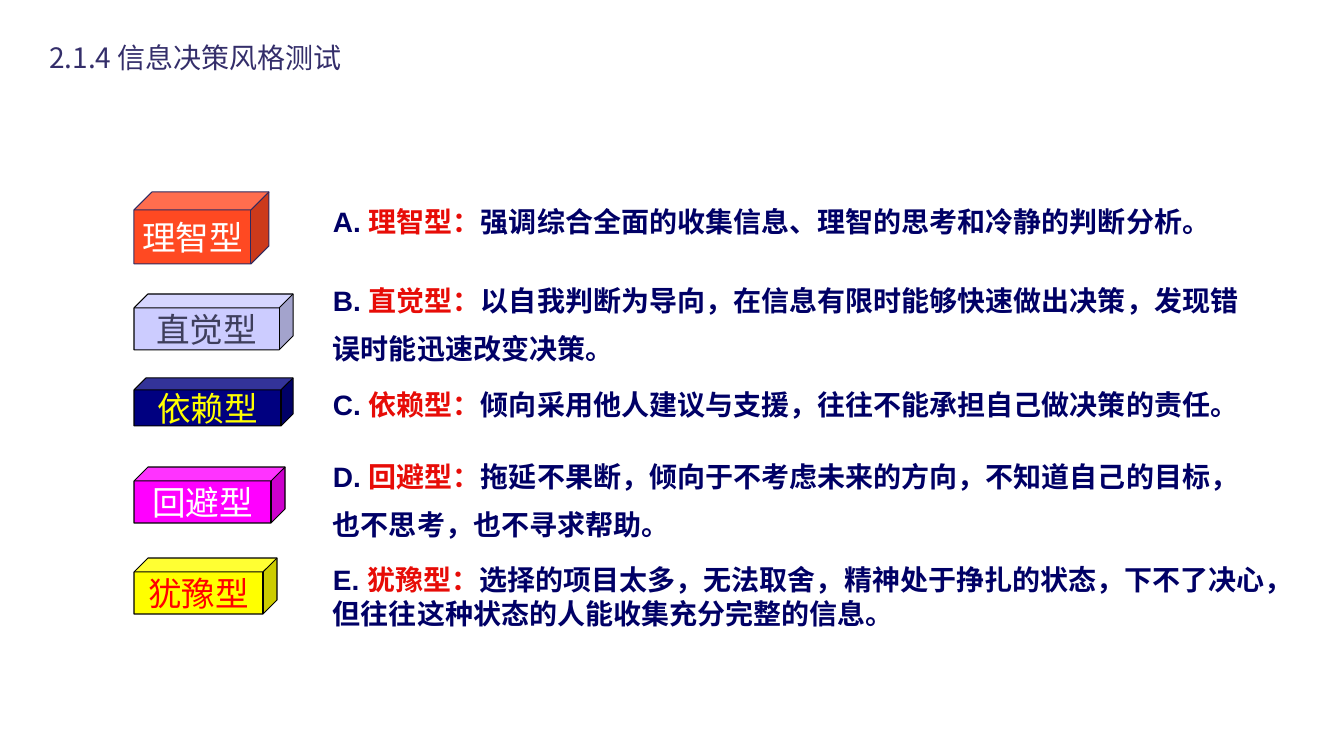
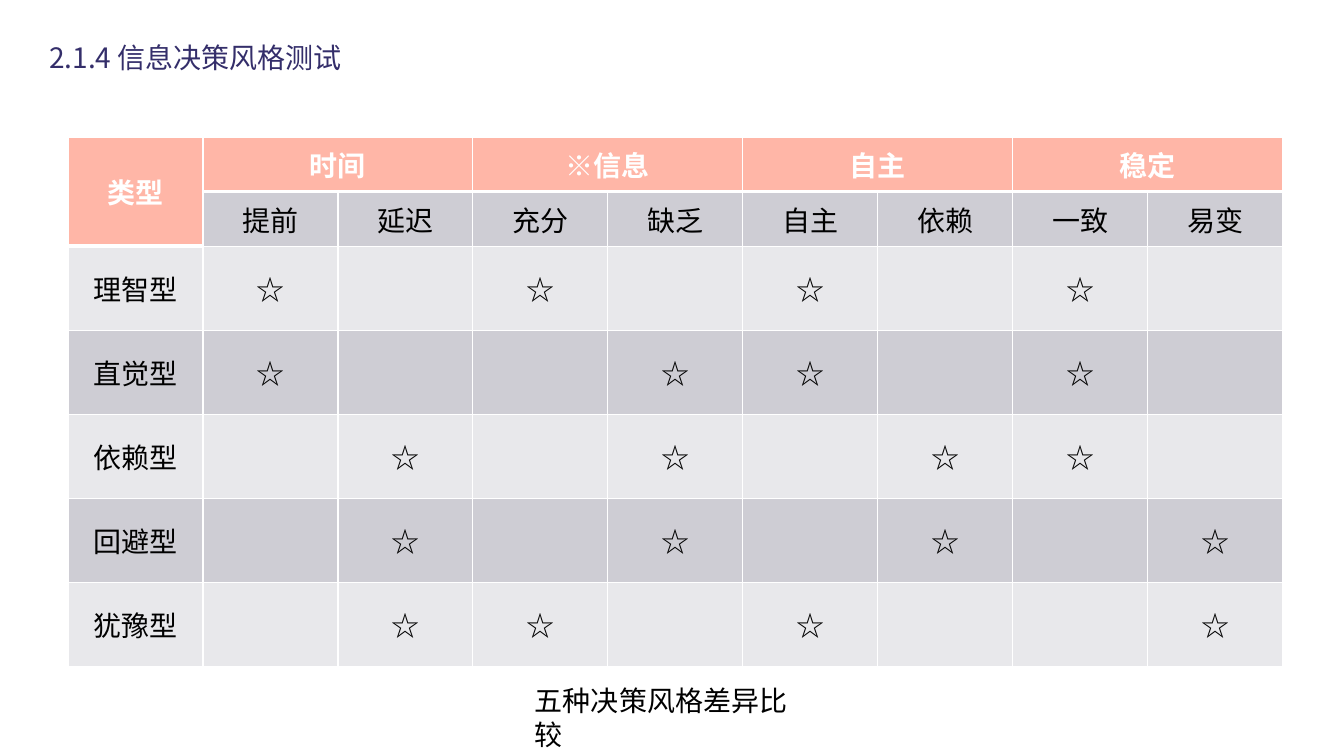
from lxml import etree
from pptx import Presentation
from pptx.dml.color import RGBColor
from pptx.enum.lang import MSO_LANGUAGE_ID
from pptx.enum.shapes import MSO_SHAPE
from pptx.enum.text import MSO_ANCHOR, MSO_AUTO_SIZE, PP_ALIGN
from pptx.oxml.ns import qn
from pptx.util import Emu, Pt

CUBE = MSO_SHAPE.CUBE
TOP, MIDDLE = MSO_ANCHOR.TOP, MSO_ANCHOR.MIDDLE
LEFT, CENTER = PP_ALIGN.LEFT, PP_ALIGN.CENTER
NO_AUTOFIT = MSO_AUTO_SIZE.NONE
CHINESE = MSO_LANGUAGE_ID.SIMPLIFIED_CHINESE
TITLE_ONLY = 5

EMU_PER_PX = 914400 / 100.8
SLIDE_SIZE = (1344, 756)
CJK_FONT, LATIN_FONT = "Noto Sans CJK SC", "Arial"

WHITE = RGBColor(0xFF, 0xFF, 0xFF)
BLACK = RGBColor(0x00, 0x00, 0x00)
TITLE_INDIGO = RGBColor(0x34, 0x2E, 0x6A)
OUTLINE_INDIGO = RGBColor(0x2F, 0x29, 0x5F)
BODY_NAVY = RGBColor(0x00, 0x00, 0x66)
TERM_RED = RGBColor(0xE7, 0x0C, 0x07)
ORANGE = RGBColor(0xFF, 0x49, 0x22)
LAVENDER = RGBColor(0xCC, 0xCC, 0xFF)
SLATE = RGBColor(0x3E, 0x3E, 0x5C)
NAVY = RGBColor(0x00, 0x00, 0x80)
YELLOW = RGBColor(0xFF, 0xFF, 0x00)
MAGENTA = RGBColor(0xFF, 0x00, 0xFF)
RED = RGBColor(0xFF, 0x00, 0x00)
HEADER_PINK = RGBColor(0xFF, 0xB6, 0xA7)
BAND_DARK = RGBColor(0xCE, 0xCD, 0xD4)
BAND_LIGHT = RGBColor(0xE8, 0xE8, 0xEB)

TITLE = "2.1.4 信息决策风格测试"
STYLES = ["理智型", "直觉型", "依赖型", "回避型", "犹豫型"]

# Cube: top, width, height, fill, outline, text colour
CUBES = [
    (192, 135, 72, ORANGE, OUTLINE_INDIGO, WHITE),
    (294, 159, 56, LAVENDER, BLACK, SLATE),
    (378, 159, 48, NAVY, BLACK, YELLOW),
    (467, 151, 56, MAGENTA, BLACK, WHITE),
    (558, 143, 56, YELLOW, BLACK, RED),
]
# Description: top, height, paragraphs
DESCRIPTIONS = [
    (200, 44, ["强调综合全面的收集信息、理智的思考和冷静的判断分析。"]),
    (279, 95, ["以自我判断为导向，在信息有限时能够快速做出决策，发现错",
               "误时能迅速改变决策。"]),
    (383, 44, ["倾向采用他人建议与支援，往往不能承担自己做决策的责任。"]),
    (455, 95, ["拖延不果断，倾向于不考虑未来的方向，不知道自己的目标，",
               "也不思考，也不寻求帮助。"]),
    (558, 78, ["选择的项目太多，无法取舍，精神处于挣扎的状态，下不了决心，"
               "但往往这种状态的人能收集充分完整的信息。"]),
]
DIMENSIONS = [
    ("时间", "提前", "延迟"),
    ("※信息", "充分", "缺乏"),
    ("自主", "自主", "依赖"),
    ("稳定", "一致", "易变"),
]
# For each style, the pole (0 or 1) starred in each dimension
STARRED_POLES = [(0, 0, 0, 0), (0, 1, 0, 0), (1, 1, 1, 0), (1, 1, 1, 1), (1, 0, 0, 1)]


def px(length):
    return Emu(round(length * EMU_PER_PX))


def box(*lengths):
    return [px(length) for length in lengths]


def write_text(frame, paragraphs, *, size=20, font=CJK_FONT, color=BLACK,
               bold=False, align=LEFT, space_before=0):
    """Fill a frame; a paragraph is a string or a list of (text, colour) runs."""
    for index, content in enumerate(paragraphs):
        paragraph = frame.add_paragraph() if index else frame.paragraphs[0]
        paragraph.alignment = align
        if index:
            paragraph.space_before = Pt(space_before)
        runs = [(content, color)] if isinstance(content, str) else content
        for text, run_color in runs:
            run = paragraph.add_run()
            run.text = text
            run.font.size = Pt(size)
            run.font.bold = bold
            run.font.color.rgb = run_color
            run.font.name = font
            run.font.language_id = CHINESE
            east_asian = etree.Element(qn("a:ea"), typeface=CJK_FONT)
            run.font._element.find(qn("a:latin")).addnext(east_asian)


def add_text(slide, bounds, paragraphs, **text_format):
    frame = slide.shapes.add_textbox(*box(*bounds)).text_frame
    frame.word_wrap = True
    write_text(frame, paragraphs, **text_format)


def add_titled_slide(deck):
    slide = deck.slides.add_slide(deck.slide_layouts[TITLE_ONLY])
    title = slide.shapes.title
    title.left, title.top, title.width, title.height = box(39, 35, 329, 44)
    frame = title.text_frame
    frame.auto_size = NO_AUTOFIT
    frame.vertical_anchor = TOP
    write_text(frame, [TITLE], color=TITLE_INDIGO)
    return slide


def add_cube(slide, bounds, label, fill, outline, color):
    cube = slide.shapes.add_shape(CUBE, *box(*bounds))
    cube.shadow.inherit = False
    cube.fill.solid()
    cube.fill.fore_color.rgb = fill
    cube.line.color.rgb = outline
    cube.line.width = Pt(0.75)
    frame = cube.text_frame
    frame.word_wrap = False
    frame.vertical_anchor = MIDDLE
    write_text(frame, [label], size=24, font=LATIN_FONT, color=color, align=CENTER)


def add_description(slide, bounds, letter, style, paragraphs):
    opening = [(f"{letter}. ", BODY_NAVY), (f"{style}：", TERM_RED),
               (paragraphs[0], BODY_NAVY)]
    add_text(slide, bounds, [opening, *paragraphs[1:]], font=LATIN_FONT,
             color=BODY_NAVY, bold=True, space_before=10)


def set_borders(cell, bottom_width):
    properties = cell._tc.get_or_add_tcPr()
    widths = [("L", 1), ("R", 1), ("T", 1), ("B", bottom_width)]
    for position, (side, width) in enumerate(widths):
        line = etree.Element(qn(f"a:ln{side}"), w=str(Pt(width)))
        fill = etree.SubElement(line, qn("a:solidFill"))
        etree.SubElement(fill, qn("a:srgbClr"), val=str(WHITE))
        properties.insert(position, line)


def format_cell(cell, text, fill, **text_format):
    cell.margin_left = cell.margin_right = px(13)
    cell.margin_top = cell.margin_bottom = px(7)
    cell.vertical_anchor = MIDDLE
    cell.fill.solid()
    cell.fill.fore_color.rgb = fill
    set_borders(cell, 3 if fill == HEADER_PINK else 1)
    if text:
        write_text(cell.text_frame, [text], align=CENTER, **text_format)


def comparison_rows():
    """Return the table's text, with blanks in merged and unstarred cells."""
    header, poles = ["类型"], [""]
    for name, first, second in DIMENSIONS:
        header += [name, ""]
        poles += [first, second]
    rows = [header, poles]
    for style, starred in zip(STYLES, STARRED_POLES):
        stars = ["☆" if pole == chosen else "" for chosen in starred for pole in (0, 1)]
        rows.append([style, *stars])
    return rows


def add_comparison_table(slide, left, top, column_width, header_height, body_height):
    rows = comparison_rows()
    heights = [header_height] * 2 + [body_height] * len(STYLES)
    bounds = box(left, top, column_width * len(rows[0]), sum(heights))
    table = slide.shapes.add_table(len(rows), len(rows[0]), *bounds).table
    for column in table.columns:
        column.width = px(column_width)
    for r, (texts, height) in enumerate(zip(rows, heights)):
        table.rows[r].height = px(height)
        for c, text in enumerate(texts):
            is_header = r == 0 or (r == 1 and c == 0)
            band = BAND_DARK if r % 2 else BAND_LIGHT
            format_cell(table.cell(r, c), text, HEADER_PINK if is_header else band,
                        color=WHITE if is_header else BLACK, bold=is_header)
    table.cell(0, 0).merge(table.cell(1, 0))
    for c in range(1, len(rows[0]), 2):
        table.cell(0, c).merge(table.cell(0, c + 1))


def build_styles_slide(deck):
    slide = add_titled_slide(deck)
    for letter, style, cube, description in zip("ABCDE", STYLES, CUBES, DESCRIPTIONS):
        top, width, height, *colors = cube
        add_cube(slide, (134, top, width, height), style, *colors)
        top, height, paragraphs = description
        add_description(slide, (323, top, 957, height), letter, style, paragraphs)


def build_comparison_slide(deck):
    slide = add_titled_slide(deck)
    add_comparison_table(slide, 68, 137, column_width=135, header_height=54, body_height=84)
    add_text(slide, (525, 679, 298, 44), ["五种决策风格差异比较"])


def main():
    deck = Presentation()
    deck.slide_width, deck.slide_height = box(*SLIDE_SIZE)
    build_styles_slide(deck)
    build_comparison_slide(deck)
    deck.save("out.pptx")


if __name__ == "__main__":
    main()
